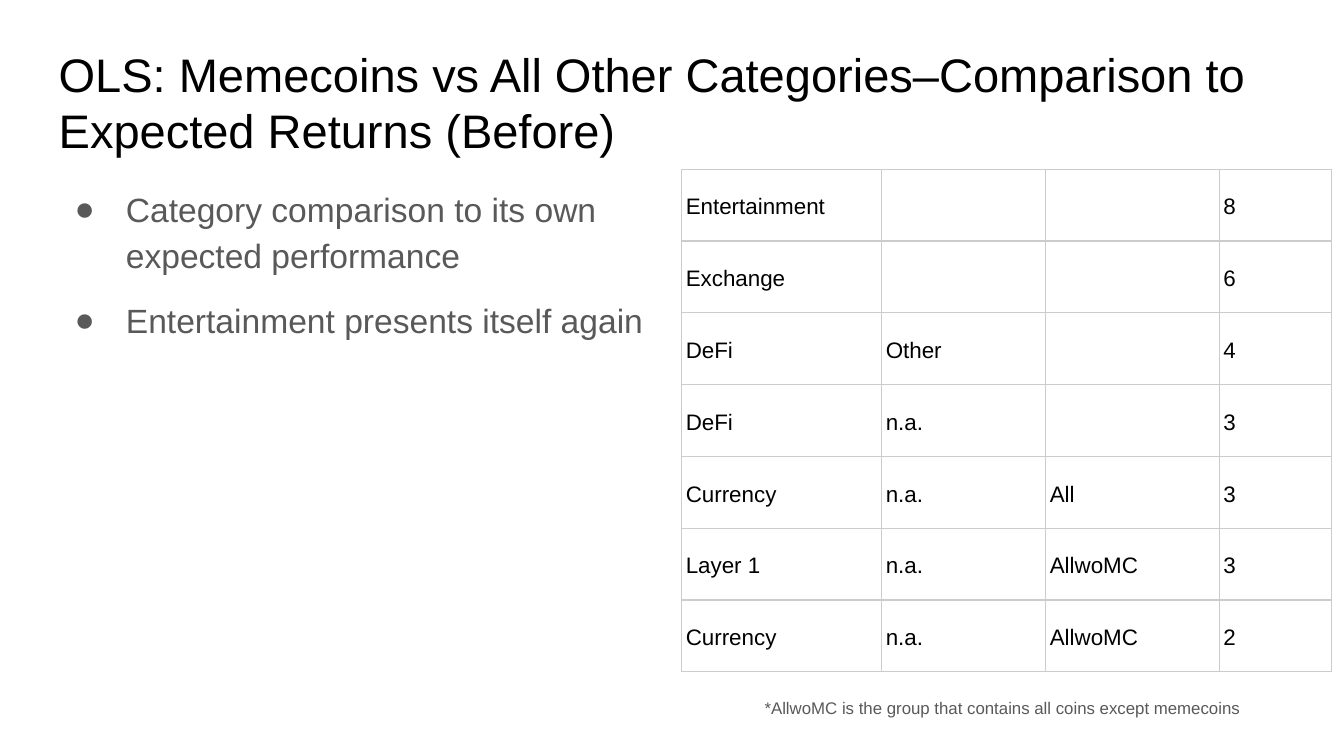
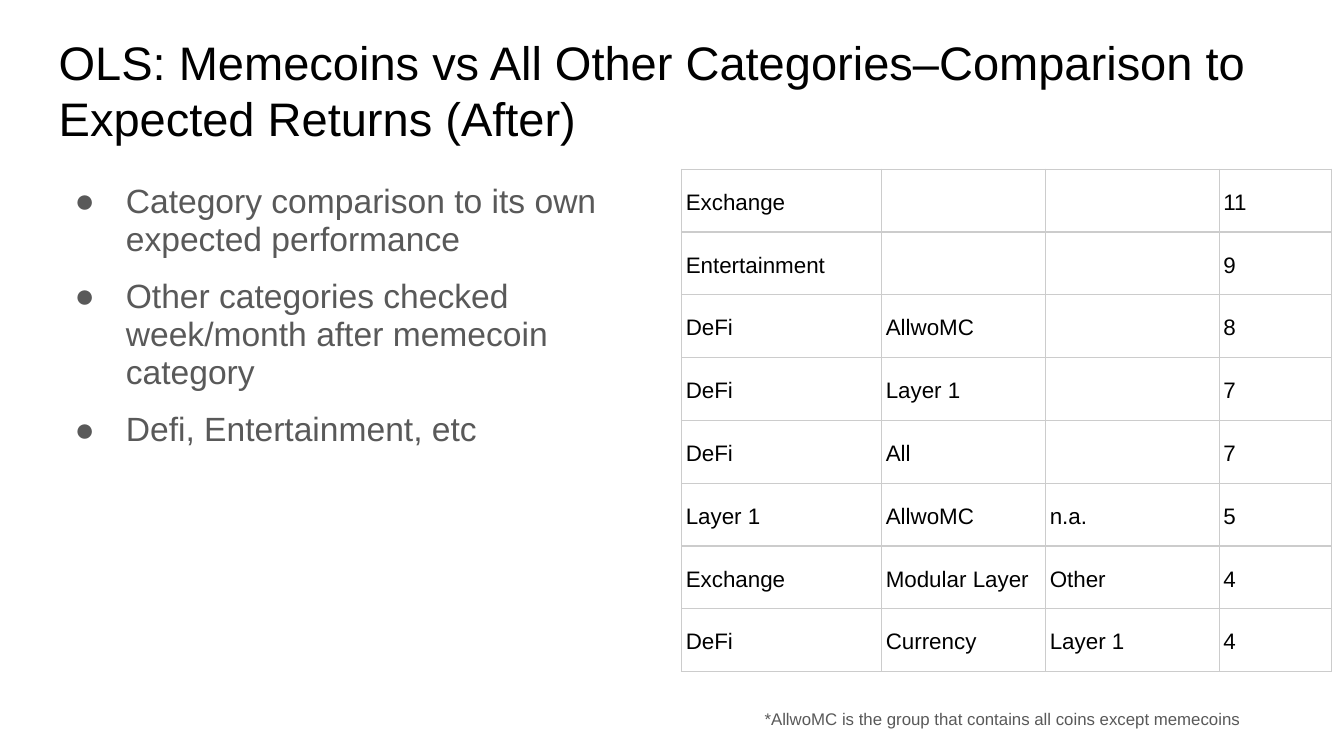
from dataclasses import dataclass

from lxml.etree import SubElement
from pptx import Presentation
from pptx.dml.color import RGBColor
from pptx.enum.text import MSO_ANCHOR as Anchor
from pptx.oxml import parse_xml
from pptx.oxml.ns import nsdecls, qn
from pptx.util import Cm, Pt

# Shared style
COLORS = {"title": "000000", "body": "595959", "cell": "000000",
          "border": "CCCCCC", "page": "FFFFFF"}
FONT = "Arial"
INSET = Cm(0.25)
LEFT = Cm(0.86)
CONTENT_TOP, CONTENT_HEIGHT = Cm(3.2), Cm(9.5)
TABLE_LEFT = Cm(12.88)
COLUMN_WIDTHS = [Cm(3.78), Cm(3.1), Cm(3.28), Cm(2.13)]
FOOTNOTE = "*AllwoMC is the group that contains all coins except memecoins"


@dataclass
class Comparison:
    period: str
    title_top: Cm
    footnote_top: Cm
    bullet_spacing: float
    bullets: list[str]
    rows: list[tuple[str, str, str, str]]


COMPARISONS = [
    Comparison(
        "Before", Cm(0.61), Cm(13), 1.15,
        ["Category comparison to its own expected performance",
         "Entertainment presents itself again"],
        [("Entertainment", "", "", "8"),
         ("Exchange", "", "", "6"),
         ("DeFi", "Other", "", "4"),
         ("DeFi", "n.a.", "", "3"),
         ("Currency", "n.a.", "All", "3"),
         ("Layer 1", "n.a.", "AllwoMC", "3"),
         ("Currency", "n.a.", "AllwoMC", "2")]),
    Comparison(
        "After", Cm(0.38), Cm(13.21), 0.95,
        ["Category comparison to its own expected performance",
         "Other categories checked week/month after memecoin category",
         "Defi, Entertainment, etc"],
        [("Exchange", "", "", "11"),
         ("Entertainment", "", "", "9"),
         ("DeFi", "AllwoMC", "", "8"),
         ("DeFi", "Layer 1", "", "7"),
         ("DeFi", "All", "", "7"),
         ("Layer 1", "AllwoMC", "n.a.", "5"),
         ("Exchange", "Modular Layer", "Other", "4"),
         ("DeFi", "Currency", "Layer 1", "4")]),
]


def format_runs(para, size: float, color: str) -> None:
    for span in para.runs:
        span.font.name = FONT
        span.font.size = Pt(size)
        span.font.color.rgb = RGBColor.from_string(COLORS[color])


def add_text(page, left: Cm, top: Cm, width: Cm, height: Cm,
             text: str, size: float, color: str):
    """Add a wrapped text box with one paragraph per line of text."""
    box = page.shapes.add_textbox(left, top, width, height)
    frame = box.text_frame
    frame.word_wrap = True
    frame.margin_left = frame.margin_right = INSET
    frame.margin_top = frame.margin_bottom = INSET
    frame.text = text
    for para in frame.paragraphs:
        format_runs(para, size, color)
    return box


def add_bullets(page, bullets: list[str], spacing: float) -> None:
    box = add_text(page, LEFT, CONTENT_TOP, Cm(11.84), CONTENT_HEIGHT,
                   "\n".join(bullets), 18, "body")
    for index, para in enumerate(box.text_frame.paragraphs):
        para.line_spacing = spacing
        para.space_before = Pt(10 if index else 0)
        props = para._p.get_or_add_pPr()
        props.set("marL", str(Cm(1.27)))
        props.set("indent", str(-Cm(0.97)))
        bullet_color = SubElement(props, qn("a:buClr"))
        SubElement(bullet_color, qn("a:srgbClr"), val=COLORS["body"])
        SubElement(props, qn("a:buFont"), typeface=FONT)
        SubElement(props, qn("a:buChar"), char="●")


def set_borders(cell) -> None:
    props = cell._tc.get_or_add_tcPr()
    for position, side in enumerate(("lnL", "lnR", "lnT", "lnB")):
        props.insert(position, parse_xml(
            f'<a:{side} {nsdecls("a")} w="{Pt(0.75)}"><a:solidFill>'
            f'<a:srgbClr val="{COLORS["border"]}"/></a:solidFill></a:{side}>'))


def add_results_table(page, rows: list[tuple[str, str, str, str]]) -> None:
    table = page.shapes.add_table(
        len(rows), len(COLUMN_WIDTHS), TABLE_LEFT, CONTENT_TOP,
        sum(COLUMN_WIDTHS), CONTENT_HEIGHT).table
    table.first_row = table.horz_banding = False
    for column, width in zip(table.columns, COLUMN_WIDTHS):
        column.width = width
    for row, values in zip(table.rows, rows):
        row.height = CONTENT_HEIGHT // len(rows)
        for cell, value in zip(row.cells, values):
            cell.fill.background()
            set_borders(cell)
            cell.vertical_anchor = Anchor.MIDDLE
            cell.margin_left = cell.margin_right = Cm(0.08)
            cell.margin_top = cell.margin_bottom = Cm(0.05)
            if value:
                cell.text = value
                para = cell.text_frame.paragraphs[0]
                para.line_spacing = 1.15
                format_runs(para, 12, "cell")


def add_comparison(deck, item: Comparison) -> None:
    page = deck.slides.add_slide(deck.slide_layouts[6])
    fill = page.background.fill
    fill.solid()
    fill.fore_color.rgb = RGBColor.from_string(COLORS["page"])
    add_text(page, LEFT, item.title_top, Cm(23.67), Cm(1.6),
             "OLS: Memecoins vs All Other Categories–Comparison to "
             f"Expected Returns ({item.period})", 25.2, "title")
    add_bullets(page, item.bullets, item.bullet_spacing)
    add_results_table(page, item.rows)
    add_text(page, Cm(14.2), item.footnote_top, Cm(10.97), Cm(0.94),
             FOOTNOTE, 9, "body")


def main() -> None:
    deck = Presentation()
    deck.slide_width, deck.slide_height = Cm(25.4), Cm(14.29)
    for item in COMPARISONS:
        add_comparison(deck, item)
    deck.save("out.pptx")


if __name__ == "__main__":
    main()
